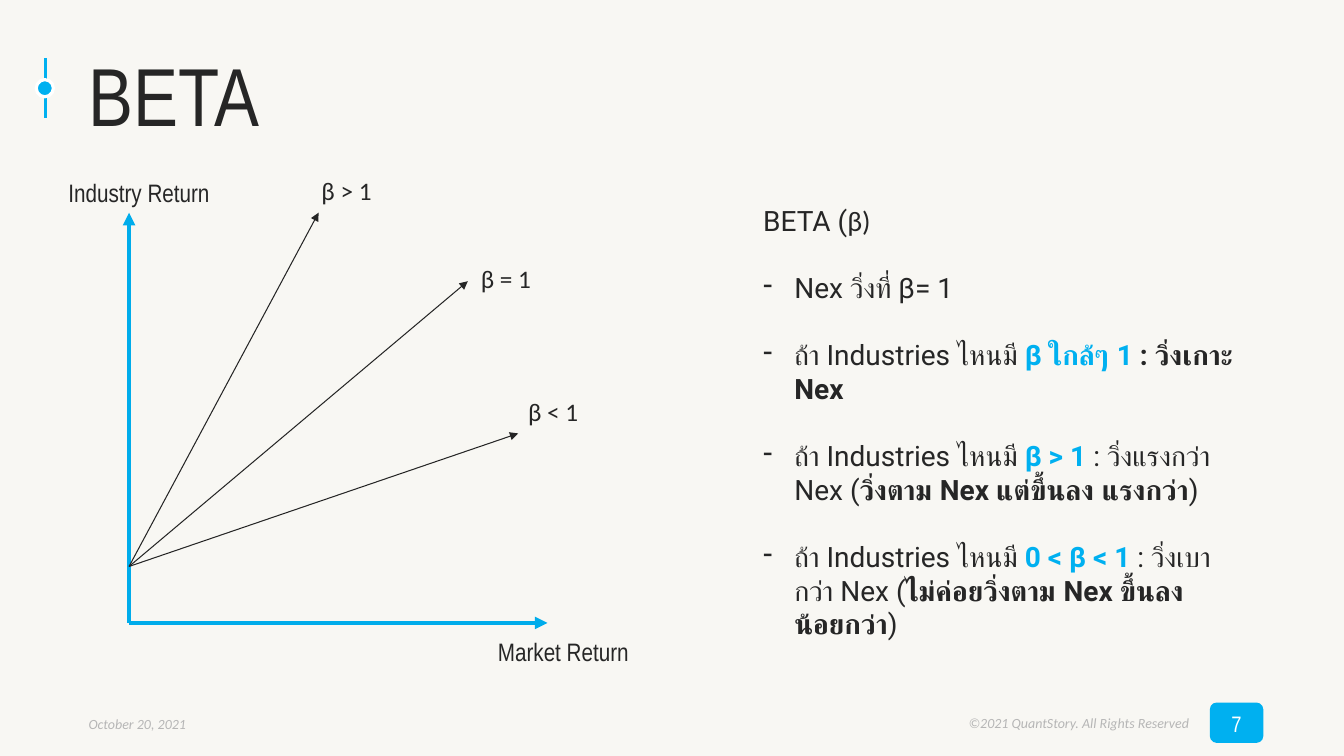
from pptx import Presentation
from pptx.dml.color import RGBColor
from pptx.enum.shapes import MSO_CONNECTOR, MSO_SHAPE
from pptx.enum.text import MSO_ANCHOR, MSO_AUTO_SIZE, PP_ALIGN
from pptx.oxml.ns import qn
from pptx.util import Inches, Pt
from lxml import etree

STRAIGHT = MSO_CONNECTOR.STRAIGHT
OVAL, ROUNDED = MSO_SHAPE.OVAL, MSO_SHAPE.ROUNDED_RECTANGLE
MIDDLE = MSO_ANCHOR.MIDDLE
LEFT, CENTER, RIGHT = PP_ALIGN.LEFT, PP_ALIGN.CENTER, PP_ALIGN.RIGHT

PAPER = RGBColor(0xF8, 0xF7, 0xF3)
INK = RGBColor(0x26, 0x26, 0x26)
RAY = RGBColor(0x25, 0x25, 0x25)
AXIS = RGBColor(0x00, 0xAC, 0xEB)
ACCENT = RGBColor(0x00, 0xB0, 0xF0)
GREY = RGBColor(0xB6, 0xB6, 0xB6)
WHITE = RGBColor(0xFF, 0xFF, 0xFF)

NARROW, CALIBRI, ROBOTO = "Arial Narrow", "Calibri", "Roboto"

# Each bullet is a list of (text, colour, bold) runs
INDUSTRY = ("ถ้า Industries ไหนมี ", INK, False)
BULLETS = [
    [("Nex วิ่งที่ β= 1", INK, False)],
    [INDUSTRY, ("β ใกล้ๆ 1 ", ACCENT, True), (": วิ่งเกาะ Nex", INK, True)],
    [INDUSTRY, ("β > 1 ", ACCENT, True), (": วิ่งแรงกว่า Nex (", INK, False),
     ("วิ่งตาม Nex แต่ขึ้นลง แรงกว่า", INK, True), (")", INK, False)],
    [INDUSTRY, ("0 < β < 1 ", ACCENT, True), (": วิ่งเบากว่า Nex (", INK, False),
     ("ไม่ค่อยวิ่งตาม Nex ขึ้นลง น้อยกว่า", INK, True), (")", INK, False)],
]


def style(font, name, size, color, bold=False, italic=False):
    font.name, font.size = name, Pt(size)
    font.bold, font.italic = bold, italic
    font.color.rgb = color


def add_run(p, text, name, size, color, bold=False):
    r = p.add_run()
    r.text = text
    style(r.font, name, size, color, bold)


def add_text(s, x, y, w, h, text, name, size, color, align=LEFT, italic=False):
    tf = s.shapes.add_textbox(Inches(x), Inches(y), Inches(w), Inches(h)).text_frame
    tf.word_wrap = True
    p = tf.paragraphs[0]
    p.text, p.alignment = text, align
    style(p.runs[0].font, name, size, color, italic=italic)


def add_line(s, x1, y1, x2, y2, color, width, arrow=False):
    c = s.shapes.add_connector(STRAIGHT, Inches(x1), Inches(y1), Inches(x2), Inches(y2))
    c.line.color.rgb, c.line.width = color, Pt(width)
    if arrow:
        etree.SubElement(c.line._get_or_add_ln(), qn("a:tailEnd"), type="triangle")
    etree.SubElement(c._element.spPr, qn("a:effectLst"))


def add_solid(s, kind, x, y, w, h):
    sp = s.shapes.add_shape(kind, Inches(x), Inches(y), Inches(w), Inches(h))
    sp.shadow.inherit = False
    sp.fill.solid()
    sp.fill.fore_color.rgb = ACCENT
    return sp


def add_title(s, x, y, w, h):
    # Marker left of the title
    add_line(s, x - 0.33, y + 0.28, x - 0.33, y + 0.87, ACCENT, 2.25)
    dot = add_solid(s, OVAL, x - 0.42, y + 0.49, 0.17, 0.17)
    dot.line.color.rgb, dot.line.width = WHITE, Pt(2.25)

    title = s.shapes.title
    title.left, title.top = Inches(x), Inches(y)
    title.width, title.height = Inches(w), Inches(h)
    tf = title.text_frame
    tf.text = "BETA"
    tf.auto_size, tf.vertical_anchor = MSO_AUTO_SIZE.NONE, MIDDLE
    p = tf.paragraphs[0]
    p.alignment = LEFT
    style(p.runs[0].font, NARROW, 58.7, INK)


def add_beta_diagram(s, x, y, w, h):
    bottom = y + h
    # Axes
    add_line(s, x, bottom, x, y, AXIS, 3, True)
    add_line(s, x, bottom, x + w, bottom, AXIS, 3, True)
    add_text(s, x - 0.7, y - 0.4, 1.83, 0.51, "Industry Return", NARROW, 18, INK)
    add_text(s, x + w - 0.59, bottom + 0.08, 1.83, 0.51, "Market Return", NARROW, 18, INK)
    # Rays from a shared start: tip offset, label offset
    rays = [("β > 1", 1.88, 0, 1.81, -0.42),
            ("β = 1", 3.36, 0.68, 3.39, 0.45),
            ("β < 1", 3.86, 2.19, 3.86, 1.77)]
    for text, tip_x, tip_y, label_x, label_y in rays:
        add_line(s, x, bottom - 0.56, x + tip_x, y + tip_y, RAY, 0.75, True)
        add_text(s, x + label_x, y + label_y, 0.78, 0.51, text, CALIBRI, 18, INK)


def add_explanation(s, x, y, w, h):
    tf = s.shapes.add_textbox(Inches(x), Inches(y), Inches(w), Inches(h)).text_frame
    tf.word_wrap = True
    p = tf.paragraphs[0]
    add_run(p, "BETA (", ROBOTO, 20, INK)
    add_run(p, "β)", CALIBRI, 20, INK)
    for runs in BULLETS:
        p = tf.add_paragraph()
        p.space_before = Pt(24)
        pPr = p._p.get_or_add_pPr()
        pPr.set("marL", str(Inches(0.31)))
        pPr.set("indent", str(-Inches(0.31)))
        etree.SubElement(pPr, qn("a:buChar"), char="-")
        for text, color, bold in runs:
            add_run(p, text, ROBOTO, 20, color, bold)


def add_footer(s, x, y, w, h):
    add_text(s, x, y, 3.11, h, "October 20, 2021", CALIBRI, 10, GREY, italic=True)
    add_text(s, x + w - 6.42, y - 0.01, 5.78, h, "©2021 QuantStory. All Rights Reserved",
             CALIBRI, 10, GREY, RIGHT, True)
    # Page number badge
    badge = add_solid(s, ROUNDED, x + w - 0.53, y - 0.08, 0.53, 0.4)
    badge.line.fill.background()
    tf = badge.text_frame
    tf.margin_left = tf.margin_right = tf.margin_bottom = 0
    tf.margin_top = Inches(0.02)
    tf.vertical_anchor = MIDDLE
    tf.text = "7"
    p = tf.paragraphs[0]
    p.alignment = CENTER
    style(p.runs[0].font, NARROW, 16, WHITE)
    p.runs[0]._r.get_or_add_rPr().set("spc", "270")


def main():
    prs = Presentation()
    prs.slide_width, prs.slide_height = Inches(13.33), Inches(7.5)
    s = prs.slides.add_slide(prs.slide_layouts[5])
    s.background.fill.solid()
    s.background.fill.fore_color.rgb = PAPER
    add_title(s, 0.78, 0.3, 11.89, 1.25)
    add_beta_diagram(s, 1.28, 2.11, 4.15, 4.07)
    add_explanation(s, 7.47, 1.97, 4.89, 4.07)
    add_footer(s, 0.78, 7.05, 11.75, 0.27)
    prs.save("out.pptx")


if __name__ == "__main__":
    main()
